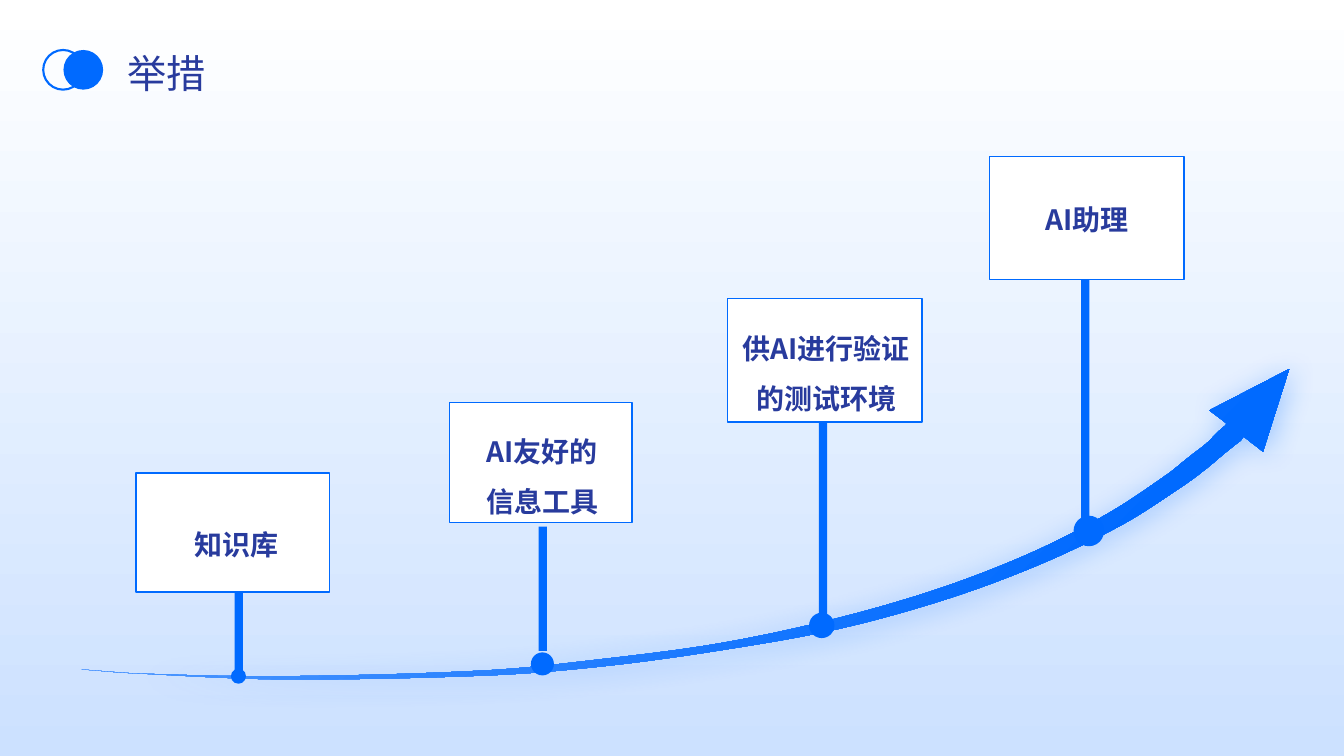
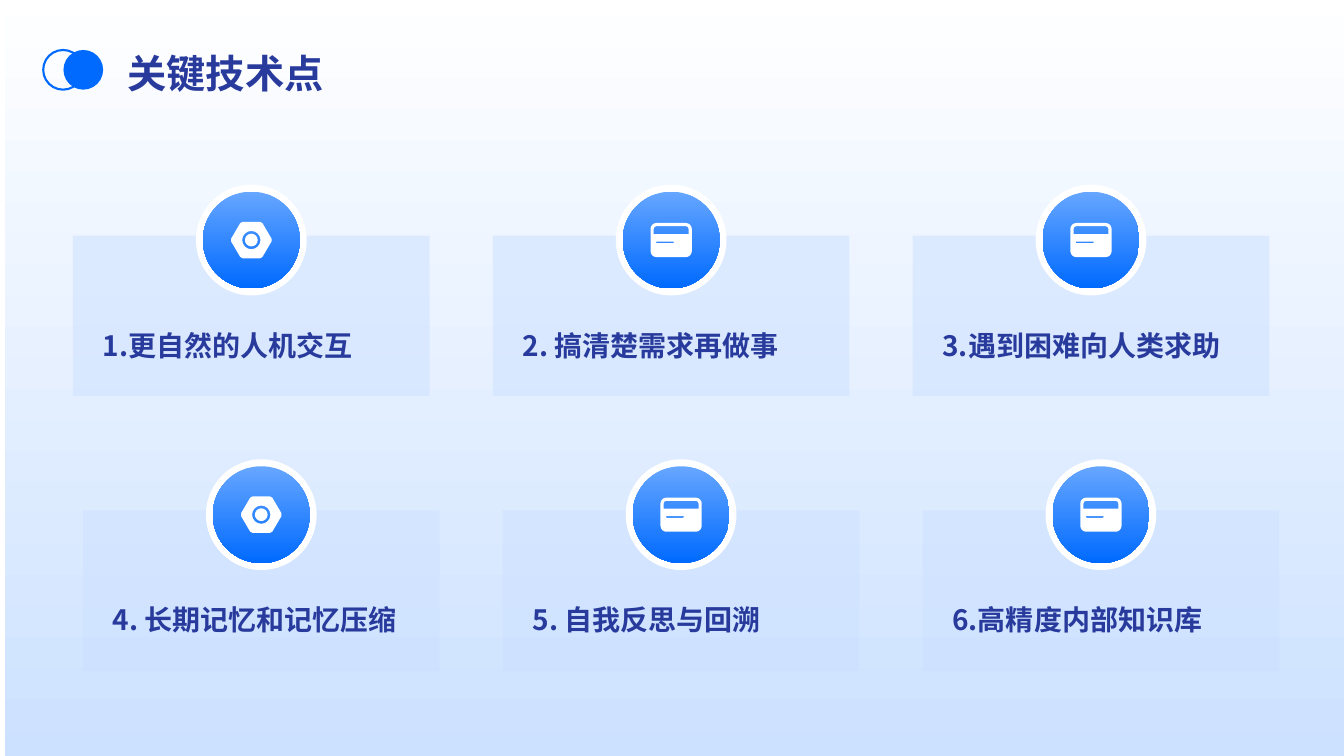
from dataclasses import dataclass
from itertools import chain
from math import dist

from lxml import etree
from pptx import Presentation
from pptx.dml.color import RGBColor
from pptx.enum.shapes import MSO_SHAPE
from pptx.enum.text import MSO_ANCHOR, PP_ALIGN
from pptx.oxml.ns import qn
from pptx.util import Cm, Pt

RECTANGLE = MSO_SHAPE.RECTANGLE
ELLIPSE = MSO_SHAPE.OVAL
TOP, MIDDLE = MSO_ANCHOR.TOP, MSO_ANCHOR.MIDDLE
LEFT, CENTER = PP_ALIGN.LEFT, PP_ALIGN.CENTER


@dataclass(frozen=True)
class Theme:
    font: str = "Noto Sans CJK SC"
    white: str = "FFFFFF"
    pale: str = "CCE1FF"
    light: str = "66A6FF"
    blue: str = "006AFF"
    ink: str = "283B9D"
    title_size: int = 28
    body_size: int = 20
    outline: float = 1
    ring: float = 1.5


@dataclass(frozen=True)
class Milestone:
    text: str
    box: tuple
    post: tuple
    dot: tuple
    caption: tuple = ()


THEME = Theme()
PAGE_WIDTH, PAGE_HEIGHT = 33.87, 19.05

LOWER_EDGE = [
    (2.06, 16.87), (3.43, 16.97), (7.11, 17.12), (12.32, 17.02), (15.21, 16.79),
    (18.21, 16.38), (21.13, 15.85), (23.88, 15.09), (26.26, 14.2), (28.3, 13.21),
    (29.82, 12.24), (30.4, 11.81), (30.89, 11.4), (31.27, 11.1),
]
ARROW_HEAD = [(31.34, 11), (31.83, 11.38), (32.49, 9.3), (30.48, 10.34), (30.91, 10.67)]
UPPER_EDGE = [
    (30.89, 10.72), (30.73, 10.85), (30.4, 11.18), (29.95, 11.53), (29.41, 11.96),
    (27.94, 12.93), (26.01, 13.92), (23.67, 14.83), (21.01, 15.6), (18.14, 16.21),
    (15.16, 16.61), (12.29, 16.89), (7.11, 17.04), (3.45, 16.97), (2.06, 16.87),
]

MILESTONES = [
    Milestone("知识库", (3.43, 11.92, 4.88, 3), (6.02, 14.78, 17.02),
              (6.01, 17.04, 0.38), (3.76, 12.88, 4.42, 1.8)),
    Milestone("AI友好的\n信息工具", (11.33, 10.15, 4.6, 3.02), (13.68, 13.27, 16.4),
              (13.67, 16.73, 0.58), (11.66, 10.52, 4.01, 2.39)),
    Milestone("供AI进行验证\n的测试环境", (18.34, 7.52, 4.9, 3.12), (20.74, 10.63, 15.58),
              (20.71, 15.76, 0.64), (18.34, 7.92, 4.97, 2.77)),
    Milestone("AI助理", (24.94, 3.94, 4.9, 3.1), (27.35, 7.05, 13.12),
              (27.44, 13.38, 0.77)),
]

KEY_POINTS = [
    ["1.更自然的人机交互", "2. 搞清楚需求再做事", "3.遇到困难向人类求助"],
    ["4. 长期记忆和记忆压缩", "5. 自我反思与回溯", "6.高精度内部知识库"],
]


def color(value):
    return RGBColor.from_string(value)


def apply_gradient(shape, start, end, angle, end_position=1):
    shape.fill.gradient()
    shape.fill.gradient_angle = 360 - angle
    first, last = shape.fill.gradient_stops
    first.color.rgb, last.color.rgb = color(start), color(end)
    first.position, last.position = 0, end_position


def style_shape(shape, fill=None, line=None, line_width=THEME.outline):
    shape.shadow.inherit = False
    if fill:
        shape.fill.solid()
        shape.fill.fore_color.rgb = color(fill)
    else:
        shape.fill.background()
    if line:
        shape.line.color.rgb = color(line)
        shape.line.width = Pt(line_width)
    else:
        shape.line.fill.background()
    return shape


def add_box(page, kind, left, top, width, height, **style):
    shape = page.shapes.add_shape(kind, Cm(left), Cm(top), Cm(width), Cm(height))
    return style_shape(shape, **style)


def add_disc(page, x, y, diameter, **style):
    radius = diameter / 2
    return add_box(page, ELLIPSE, x - radius, y - radius, diameter, diameter, **style)


def set_opacity(shape, percent):
    tint = next(shape._element.spPr.iter(qn("a:srgbClr")))
    etree.SubElement(tint, qn("a:alpha"), val=str(percent * 1000))


def add_glow_shadow(shape, tint, opacity, blur, distance, angle):
    effects = shape._element.spPr.find(qn("a:effectLst"))
    shadow = etree.SubElement(
        effects, qn("a:outerShdw"), blurRad=str(Pt(blur)), dist=str(Pt(distance)),
        dir=str(angle * 60000), algn="tl", rotWithShape="0")
    shade = etree.SubElement(shadow, qn("a:srgbClr"), val=tint)
    etree.SubElement(shade, qn("a:alpha"), val=str(opacity * 1000))


def write_text(shape, text, size=THEME.body_size, bold=True, align=LEFT,
               anchor=TOP, spacing=1.5):
    frame = shape.text_frame
    frame.word_wrap = True
    frame.vertical_anchor = anchor
    frame.margin_left = frame.margin_right = frame.margin_top = frame.margin_bottom = 0
    para = frame.paragraphs[0]
    para.text = text
    para.alignment = align
    para.line_spacing = spacing
    font = para.font
    font.size, font.bold = Pt(size), bold
    font.color.rgb = color(THEME.ink)
    font.name = THEME.font
    defaults = para._p.pPr.find(qn("a:defRPr"))
    etree.SubElement(defaults, qn("a:ea"), typeface=THEME.font)


def add_text(page, left, top, width, height, text, **style):
    box = page.shapes.add_textbox(Cm(left), Cm(top), Cm(width), Cm(height))
    write_text(box, text, **style)


def bend_segments(shape, segments):
    lines = list(shape._element.spPr.iter(qn("a:lnTo")))
    for line, controls in zip(lines, segments):
        if len(controls) == 3:
            curve = etree.Element(qn("a:cubicBezTo"))
            for x, y in controls:
                etree.SubElement(curve, qn("a:pt"), x=str(x - shape.left),
                                 y=str(y - shape.top))
            line.getparent().replace(line, curve)


def add_outline(page, contours, x=0, y=0, **style):
    outlines = [[[(Cm(x + dx), Cm(y + dy)) for dx, dy in segment] for segment in contour]
                for contour in contours]
    builder = page.shapes.build_freeform(*outlines[0][0][-1], scale=1.0)
    for index, (start, *segments) in enumerate(outlines):
        if index:
            builder.move_to(*start[-1])
        builder.add_line_segments([segment[-1] for segment in segments], close=True)
    shape = builder.convert_to_shape()
    bend_segments(shape, chain.from_iterable(outline[1:] for outline in outlines))
    return style_shape(shape, **style)


def toward(start, end, share):
    return tuple(round(p + share * (q - p), 4) for p, q in zip(start, end))


def smooth_curve(points):
    padded = [points[0], *points, points[-1]]
    curve = [(points[0],)]
    for a, b, c, d in zip(padded, padded[1:], padded[2:], padded[3:]):
        length = dist(b, c)
        leave = length / (dist(a, b) + length) / 3
        arrive = length / (length + dist(c, d)) / 3
        first = tuple(q + leave * (r - p) for p, q, r in zip(a, b, c))
        second = tuple(r - arrive * (s - q) for q, r, s in zip(b, c, d))
        curve.append((first, second, c))
    return curve


def rounded_polygon(corners, radii):
    contour = []
    for index, (corner, radius) in enumerate(zip(corners, radii)):
        before, after = corners[index - 1], corners[(index + 1) % len(corners)]
        begin = toward(corner, before, radius / dist(corner, before))
        end = toward(corner, after, radius / dist(corner, after))
        if not contour or contour[-1][-1] != begin:
            contour.append((begin,))
        if radius:
            contour.append((toward(begin, corner, 0.55), toward(end, corner, 0.55), end))
    return contour


def rounded_box(left, top, right, bottom, top_radius=0, bottom_radius=0):
    corners = [(left, top), (right, top), (right, bottom), (left, bottom)]
    return rounded_polygon(corners, [top_radius] * 2 + [bottom_radius] * 2)


def circle(radius):
    return rounded_box(-radius, -radius, radius, radius, radius, radius)


HEXAGON = [(-0.53, 0), (-0.26, -0.46), (0.26, -0.46), (0.53, 0), (0.26, 0.46), (-0.26, 0.46)]
NUT_ICON = [rounded_polygon(HEXAGON, [0.04] * 6), circle(0.23), circle(0.16)]
CARD_ICON = [
    rounded_box(-0.52, -0.43, 0.52, 0.43, 0.15, 0.15),
    rounded_box(-0.44, -0.35, 0.44, -0.15, 0.07),
    rounded_box(-0.38, 0.04, 0.07, 0.08, 0, 0.02),
]
COLUMN_ICONS = [NUT_ICON, CARD_ICON, CARD_ICON]


def add_page(deck, title, bold, backdrop):
    page = deck.slides.add_slide(deck.slide_layouts[6])
    apply_gradient(add_box(page, RECTANGLE, *backdrop), THEME.white, THEME.pale, 90)
    add_text(page, 3.22, 1.12, 27.74, 1.19, title, size=THEME.title_size,
             bold=bold, anchor=MIDDLE, spacing=1.2)
    add_disc(page, 1.59, 1.76, 1, line=THEME.blue, line_width=THEME.ring)
    add_disc(page, 2.1, 1.76, 1, fill=THEME.blue)
    return page


def add_growth_arrow(page):
    head = [(point,) for point in ARROW_HEAD]
    arrow = add_outline(page, [smooth_curve(LOWER_EDGE) + head + smooth_curve(UPPER_EDGE)])
    apply_gradient(arrow, THEME.light, THEME.blue, 45, 0.8)
    add_glow_shadow(arrow, THEME.blue, opacity=30, blur=20, distance=3, angle=45)


def add_milestone(page, milestone, post_width=0.21):
    x, top, bottom = milestone.post
    add_box(page, RECTANGLE, x - post_width / 2, top, post_width, bottom - top,
            fill=THEME.blue)
    add_disc(page, *milestone.dot, fill=THEME.blue)
    box = add_box(page, RECTANGLE, *milestone.box, fill=THEME.white, line=THEME.blue)
    if milestone.caption:
        add_text(page, *milestone.caption, milestone.text, align=CENTER)
    else:
        write_text(box, milestone.text, align=CENTER, anchor=MIDDLE, spacing=1.1)


def add_key_point(page, left, top, text, icon, width=8.99, height=4.04):
    panel = add_box(page, RECTANGLE, left, top, width, height, fill=THEME.pale)
    set_opacity(panel, 50)
    x, y = left + width / 2, top + 0.11
    add_disc(page, x, y, 2.79, fill=THEME.white)
    apply_gradient(add_disc(page, x, y, 2.44), THEME.light, THEME.blue, 90)
    add_outline(page, icon, x, y, fill=THEME.white)
    add_text(page, left + 0.75, top + 1.91, 7.49, 1.6, text)


def build_measures(deck):
    page = add_page(deck, "举措", False, (0, 0, PAGE_WIDTH, PAGE_HEIGHT))
    add_growth_arrow(page)
    for milestone in MILESTONES:
        add_milestone(page, milestone)


def build_key_points(deck):
    page = add_page(deck, "关键技术点", True, (0.13, -0.38, PAGE_WIDTH, 19.56))
    for row, texts in enumerate(KEY_POINTS):
        for column, (text, icon) in enumerate(zip(texts, COLUMN_ICONS)):
            add_key_point(page, 1.84 + 10.58 * column + 0.25 * row,
                          5.94 + 6.92 * row, text, icon)


def main():
    deck = Presentation()
    deck.slide_width, deck.slide_height = Cm(PAGE_WIDTH), Cm(PAGE_HEIGHT)
    build_measures(deck)
    build_key_points(deck)
    deck.save("out.pptx")


if __name__ == "__main__":
    main()
